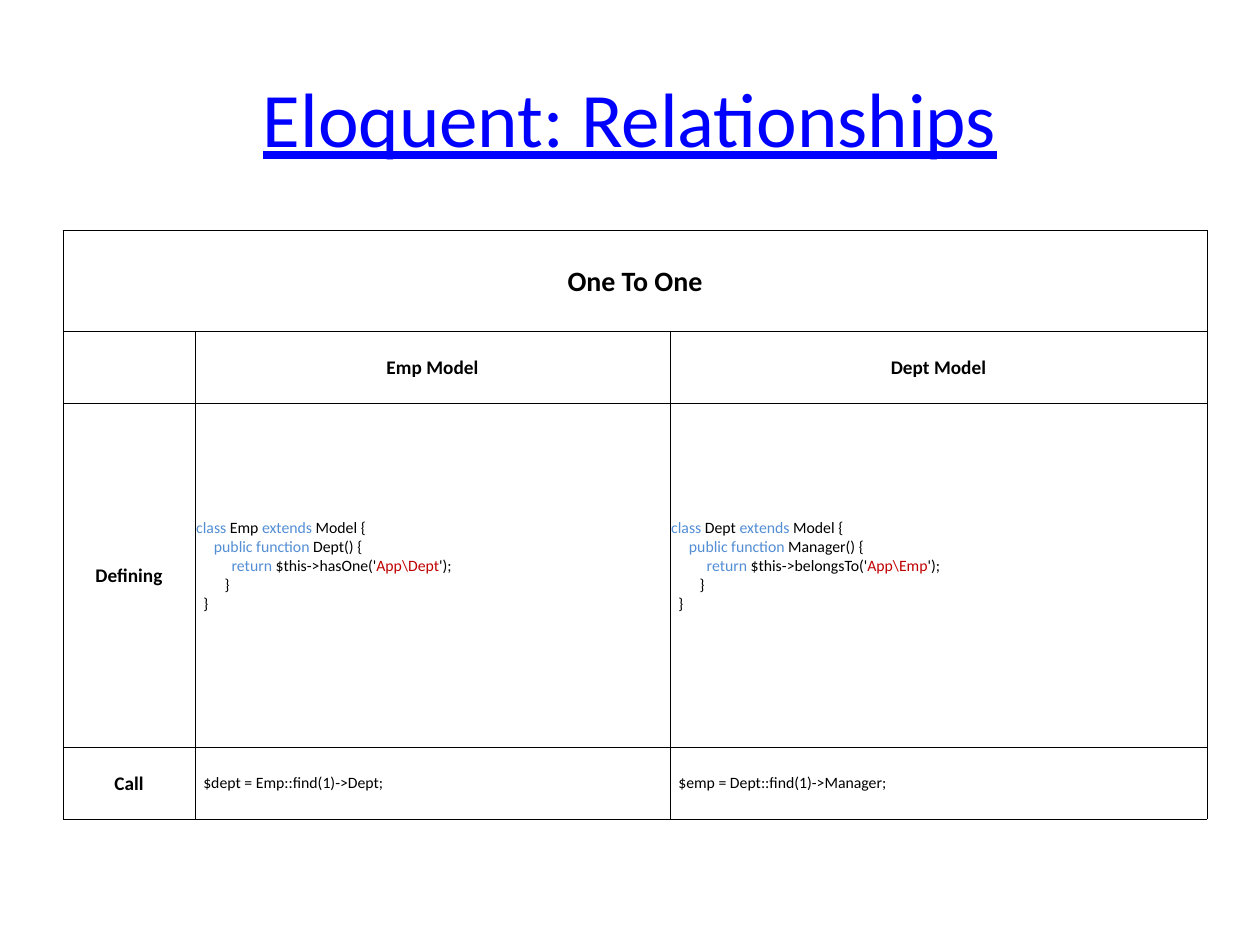
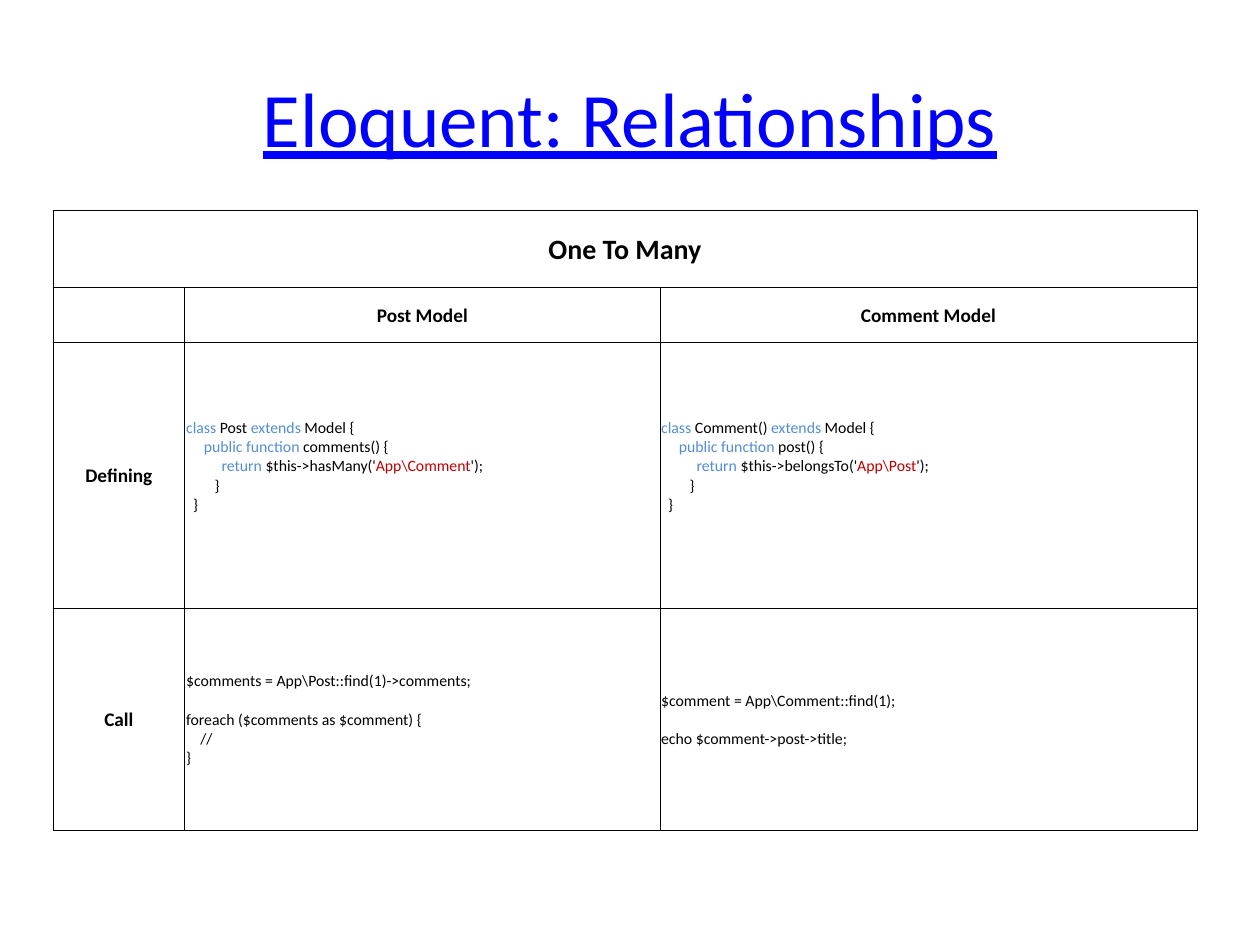
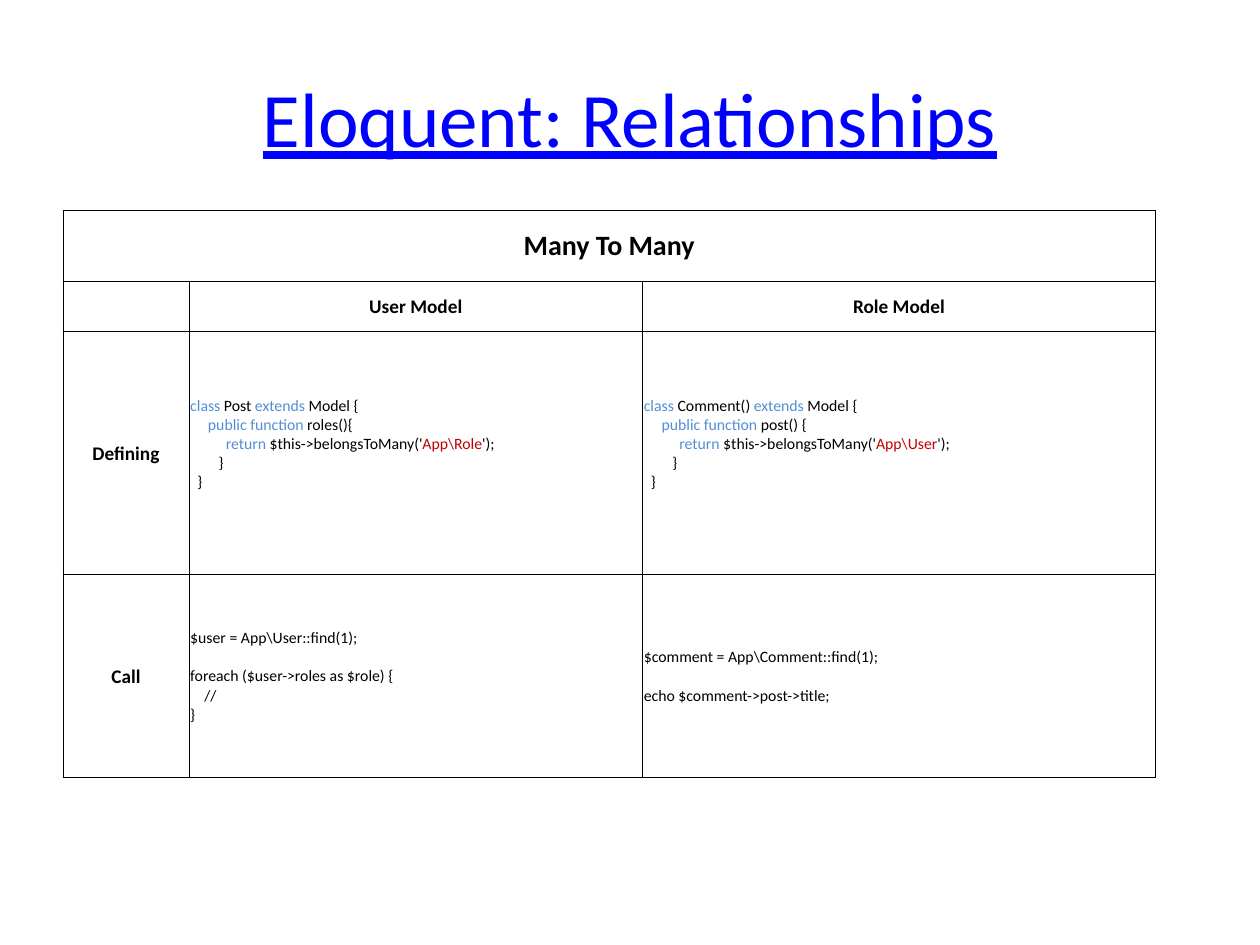
from dataclasses import dataclass

from lxml import etree
from pptx import Presentation
from pptx.dml.color import RGBColor
from pptx.enum.text import MSO_ANCHOR, PP_ALIGN
from pptx.oxml.ns import qn
from pptx.util import Inches, Pt

CENTER, LEFT = PP_ALIGN.CENTER, PP_ALIGN.LEFT
MIDDLE = MSO_ANCHOR.MIDDLE
TITLE_ONLY = 5


@dataclass(frozen=True)
class Theme:
    font: str = "Calibri"
    ink: str = "000000"
    paper: str = "FFFFFF"
    title: str = "0000FF"
    keyword: str = "538ED5"
    string: str = "C00000"
    title_size: float = 44
    band_size: float = 16
    head_size: float = 11
    code_size: float = 9
    code_line: float = 11      # height of one line of code, points
    code_step: float = 2.03    # width of one indent step, points
    border: float = 0.5
    inset: float = 0.01        # cell margin, inches


THEME = Theme()

# Proportions of the table grid
COLUMNS = (1, 3.6, 4.07)
TALL_HEAD = (0.8, 0.57, 2.73, 0.57)
TALL_CALL = (0.56, 0.4, 1.93, 1.61)


@dataclass
class Line:
    """One line of code: coloured spans, indent steps, blank lines after it."""
    spans: list
    indent: int = 0
    gap: int = 0


# ---- Text ----
def add_span(para, text, size, color, bold=False, underline=False):
    span = para.add_run()
    span.text = text
    font = span.font
    font.name, font.size = THEME.font, Pt(size)
    font.bold, font.underline = bold, underline
    font.color.rgb = RGBColor.from_string(color)


def plain(text, indent=0, gap=0):
    return Line([(text, THEME.ink)], indent, gap)


def model_class(name, method, relation, target):
    """Lines of a model class that holds one relationship method."""
    ink, keyword = THEME.ink, THEME.keyword
    return [
        Line([("class", keyword), (f" {name} ", ink),
              ("extends", keyword), (" Model {", ink)]),
        Line([("public function", keyword), (f" {method}", ink)], 5),
        Line([("return", keyword), (f" $this->{relation}('", ink),
              (target, THEME.string), ("');", ink)], 10),
        plain("}", 8),
        plain("}", 2),
    ]


def loop_call(first, condition):
    return [plain(first, gap=1), plain(f"foreach ({condition}) {{"),
            plain("//", 4), plain("}")]


def comment_call():
    return [plain("$comment = App\\Comment::find(1);", gap=1),
            plain("echo $comment->post->title;")]


# ---- Table ----
def add_borders(cell):
    props = cell._tc.get_or_add_tcPr()
    for side in ("a:lnL", "a:lnR", "a:lnT", "a:lnB"):
        line = etree.SubElement(props, qn(side), w=str(Pt(THEME.border)))
        fill = etree.SubElement(line, qn("a:solidFill"))
        etree.SubElement(fill, qn("a:srgbClr"), val=THEME.ink)


def style_cell(cell):
    add_borders(cell)
    cell.fill.solid()
    cell.fill.fore_color.rgb = RGBColor.from_string(THEME.paper)
    cell.vertical_anchor = MIDDLE
    cell.margin_left = cell.margin_right = cell.margin_top = Inches(THEME.inset)
    cell.margin_bottom = 0


def write_heading(cell, text, size=THEME.head_size):
    para = cell.text_frame.paragraphs[0]
    para.alignment = CENTER
    add_span(para, text, size, THEME.ink, bold=True)


def write_code(cell, lines, space_below=0):
    frame = cell.text_frame
    cell.margin_bottom = Pt(space_below * THEME.code_line)
    for index, line in enumerate(lines):
        para = frame.add_paragraph() if index else frame.paragraphs[0]
        para.alignment = LEFT
        para.space_after = Pt(line.gap * THEME.code_line)
        para._p.get_or_add_pPr().set("marL", str(Pt(line.indent * THEME.code_step)))
        for text, color in line.spans:
            add_span(para, text, THEME.code_size, color)


def add_relation_table(page, frame, row_parts, name, models, classes, calls):
    left, top, width, height = (Inches(length) for length in frame)
    table = page.shapes.add_table(len(row_parts), len(COLUMNS),
                                  left, top, width, height).table
    table.first_row = table.horz_banding = False
    for column, part in zip(table.columns, COLUMNS):
        column.width = int(width * part / sum(COLUMNS))
    for row, part in zip(table.rows, row_parts):
        row.height = int(height * part / sum(row_parts))
    for cell in table.iter_cells():
        style_cell(cell)

    # Headings across the top and down the side
    table.cell(0, 0).merge(table.cell(0, len(COLUMNS) - 1))
    write_heading(table.cell(0, 0), name, THEME.band_size)
    write_heading(table.cell(2, 0), "Defining")
    write_heading(table.cell(3, 0), "Call")

    # One column for each model
    for column, (model, code, call) in enumerate(zip(models, classes, calls), 1):
        write_heading(table.cell(1, column), f"{model} Model")
        write_code(table.cell(2, column), code, space_below=1)
        write_code(table.cell(3, column), call)


# ---- Pages ----
def add_page(deck):
    page = deck.slides.add_slide(deck.slide_layouts[TITLE_ONLY])
    title = page.shapes.title
    title.left, title.top = Inches(0.5), Inches(0.3)
    title.width, title.height = Inches(9), Inches(1.25)
    title.text_frame.vertical_anchor = MIDDLE
    para = title.text_frame.paragraphs[0]
    para.alignment = CENTER
    add_span(para, "Eloquent: Relationships", THEME.title_size, THEME.title,
             underline=True)
    return page


def main():
    deck = Presentation()
    deck.slide_width, deck.slide_height = Inches(10), Inches(7.5)

    add_relation_table(
        add_page(deck), (0.5, 1.83, 9.08, 4.67), TALL_HEAD,
        "One To One", ("Emp", "Dept"),
        (model_class("Emp", "Dept() {", "hasOne", "App\\Dept"),
         model_class("Dept", "Manager() {", "belongsTo", "App\\Emp")),
        ([plain("$dept = Emp::find(1)->Dept;", 2)],
         [plain("$emp = Dept::find(1)->Manager;", 2)]))

    add_relation_table(
        add_page(deck), (0.42, 1.67, 9.08, 4.92), TALL_CALL,
        "One To Many", ("Post", "Comment"),
        (model_class("Post", "comments() {", "hasMany", "App\\Comment"),
         model_class("Comment()", "post() {", "belongsTo", "App\\Post")),
        (loop_call("$comments = App\\Post::find(1)->comments;",
                   "$comments as $comment"),
         comment_call()))

    add_relation_table(
        add_page(deck), (0.5, 1.67, 8.67, 4.5), TALL_CALL,
        "Many To Many", ("User", "Role"),
        (model_class("Post", "roles(){", "belongsToMany", "App\\Role"),
         model_class("Comment()", "post() {", "belongsToMany", "App\\User")),
        (loop_call("$user = App\\User::find(1);", "$user->roles as $role"),
         comment_call()))

    deck.save("out.pptx")


main()
